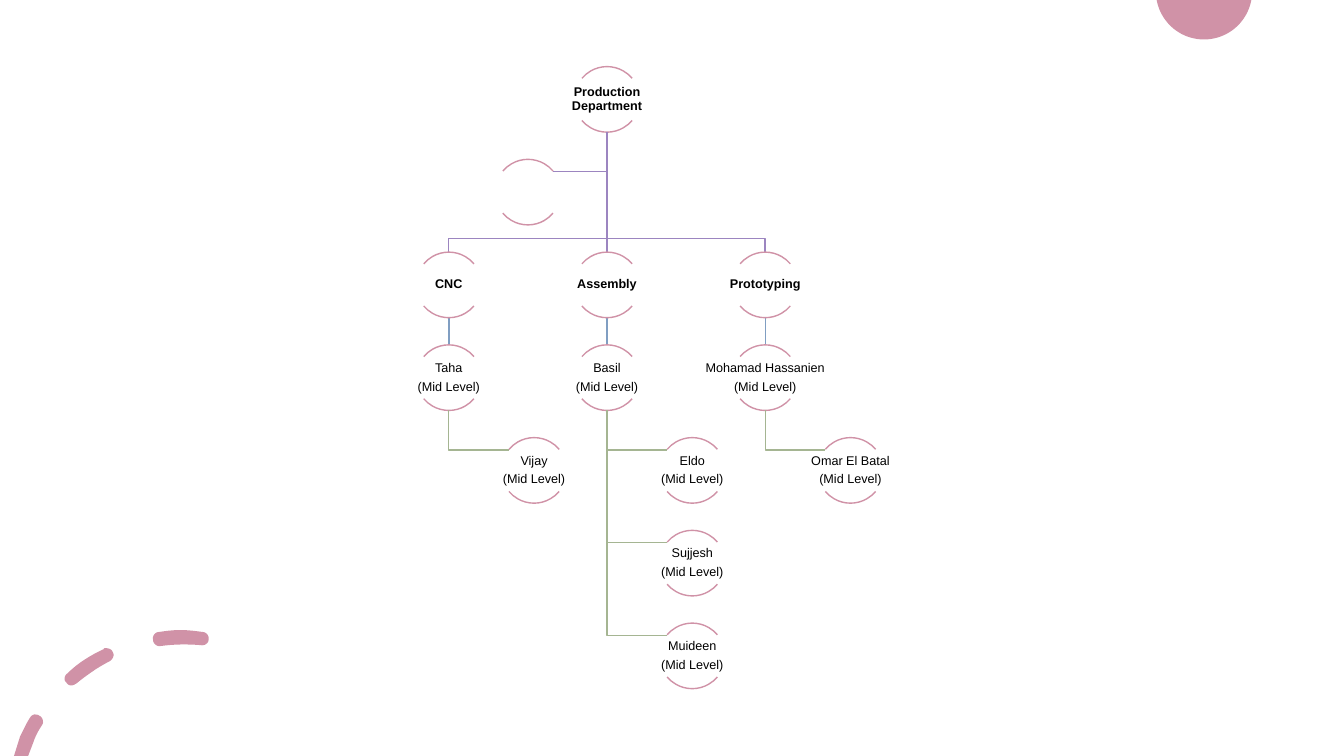
import math

import pptx
import pptx.dml.color
import pptx.enum.shapes
import pptx.enum.text
import pptx.util
from lxml import etree

Pt = pptx.util.Pt
COLORS = {
    "rose": "D092A7",
    "purple": "9C85C0",
    "blue": "809EC2",
    "green": "A5B592",
    "text": "000000",
}

DIAMETER = 46.8
COLUMN_STEP, ROW_STEP = 113, 66.25
REPORT_SHIFT = 60.9
LABEL_W, LABEL_H = 93.6, 29.4
LABEL_DROP = (DIAMETER - LABEL_H) / 2
LABEL_FRAME = {
    "word_wrap": True,
    "vertical_anchor": pptx.enum.text.MSO_ANCHOR.MIDDLE,
    "margin_left": Pt(0.5),
    "margin_right": Pt(0.5),
    "margin_top": Pt(0.5),
    "margin_bottom": Pt(0.5),
}
LABEL_PARAGRAPH = {
    "alignment": pptx.enum.text.PP_ALIGN.CENTER,
    "line_spacing": 0.9,
    "space_after": Pt(3.6),
}

LEVEL = "(Mid Level)"
TEAMS = [
    ("CNC", "Taha", ["Vijay"]),
    ("Assembly", "Basil", ["Eldo", "Sujjesh", "Muideen"]),
    ("Prototyping", "Mohamad Hassanien", ["Omar El Batal"]),
]

# Each dash is a start point, then lines (x, y) or Bézier curves (three points).
DASHES = [
    [(15.8, 60.5), (14.4, 59.8, 12.2, 61.2, 11.5, 62.6),
     (8.6, 67, 6.5, 72, 4.3, 76.3), (0, 90), (10.1, 90), (13.7, 80.6),
     (15.1, 76.3, 17.3, 72, 20.2, 67.7), (21.6, 65.5, 20.2, 61.9, 18, 61.2),
     (17.3, 60.5, 16.6, 60.5, 15.8, 60.5)],
    [(65.5, 13), (64.8, 13, 64.1, 13, 64.1, 13.7),
     (54.7, 18, 45.4, 23.8, 38.2, 31), (36, 32.4, 35.3, 36, 37.4, 37.4),
     (38.2, 38.9, 39.6, 39.6, 41, 39.6), (42.5, 39.6, 43.2, 38.9, 44.6, 38.2),
     (51.8, 32.4, 59.8, 26.6, 68.4, 22.3), (70.6, 20.9, 72, 18, 70.6, 15.8),
     (69.8, 13.7, 67.7, 13, 65.5, 13)],
    [(118.8, 0), (113.8, 0, 108.7, 0.7, 103.7, 1.4),
     (100.8, 1.4, 98.6, 4.3, 99.4, 7.2), (99.4, 9.4, 101.5, 11.5, 103.7, 11.5),
     (104.4, 11.5), (114.5, 10.1, 123.8, 10.1, 133.2, 10.8),
     (136.1, 11.5, 139, 9.4, 139, 7.2), (139.7, 4.3, 137.5, 1.4, 134.6, 1.4),
     (129.6, 0.7, 123.8, 0, 118.8, 0)],
]


def rgb(name):
    return pptx.dml.color.RGBColor.from_string(COLORS[name])


def set_line(sp, color):
    sp.line.color.rgb = rgb(color)
    sp.line.width = Pt(1)


def polyline(s, contours, close):
    """Return a freeform through contours of (x, y) points."""
    contours = [[(Pt(x), Pt(y)) for x, y in c] for c in contours]
    builder = s.shapes.build_freeform(*contours[0][0])
    for i, (start, *rest) in enumerate(contours):
        if i:
            builder.move_to(*start)
        builder.add_line_segments(rest, close=close)
    sp = builder.convert_to_shape()
    sp.shadow.inherit = False
    return sp


def filled_outline(s, contours):
    sp = polyline(s, contours, True)
    sp.fill.solid()
    sp.fill.fore_color.rgb = rgb("rose")
    sp.line.fill.background()


def elbow(s, points, color):
    sp = polyline(s, [points], False)
    sp.fill.background()
    set_line(sp, color)


def vertical(s, x, top, bottom, color):
    sp = s.shapes.add_connector(
        pptx.enum.shapes.MSO_CONNECTOR.STRAIGHT, Pt(x), Pt(top), Pt(x), Pt(bottom))
    set_line(sp, color)
    etree.SubElement(sp._element.spPr, pptx.oxml.ns.qn("a:effectLst"))


def flatten(outline, steps=8):
    """Turn lines and Bézier curves into points."""
    points = [outline[0]]
    for segment in outline[1:]:
        if len(segment) == 2:
            points.append(segment)
            continue
        controls = points[-1] + segment
        for i in range(1, steps + 1):
            t = i / steps
            weights = [math.comb(3, k) * (1 - t) ** (3 - k) * t ** k for k in range(4)]
            points.append(tuple(
                sum(w * c for w, c in zip(weights, controls[axis::2])) for axis in (0, 1)))
    return points


def dashed_ring(s, left, top):
    filled_outline(s, [[(left + x, top + y) for x, y in flatten(d)] for d in DASHES])


def corner_disc(s, left, top, width, height):
    """Draw the lower segment of a circle that the box cuts off at its top."""
    radius = (width ** 2 / 4 + height ** 2) / (2 * height)
    if height > width / 2:
        radius = width / 2
    cx, cy = left + width / 2, top + height - radius
    start = math.asin((top - cy) / radius)
    angles = [start + (math.pi - 2 * start) * i / 40 for i in range(41)]
    filled_outline(s, [[(cx + radius * math.cos(a), cy + radius * math.sin(a))
                        for a in angles]])


def node(s, cx, top, lines=(), bold=False):
    """Draw two arcs of a circle around centred lines of text."""
    for start, end in ((220, 320), (40, 140)):
        sp = s.shapes.add_shape(pptx.enum.shapes.MSO_SHAPE.ARC, Pt(cx - DIAMETER / 2),
                                Pt(top), Pt(DIAMETER), Pt(DIAMETER))
        sp.adjustments[0], sp.adjustments[1] = start * 0.6, end * 0.6
        sp.shadow.inherit = False
        sp.fill.background()
        set_line(sp, "rose")
    if not lines:
        return
    tf = s.shapes.add_textbox(Pt(cx - LABEL_W / 2), Pt(top + LABEL_DROP),
                              Pt(LABEL_W), Pt(LABEL_H)).text_frame
    for name, value in LABEL_FRAME.items():
        setattr(tf, name, value)
    for i, line in enumerate(lines):
        p = tf.add_paragraph() if i else tf.paragraphs[0]
        for name, value in LABEL_PARAGRAPH.items():
            setattr(p, name, value)
        r = p.add_run()
        r.text = line
        for name, value in {"name": "Arial", "size": Pt(9), "bold": bold}.items():
            setattr(r.font, name, value)
        r.font.color.rgb = rgb("text")


def org_chart(s, left, top):
    columns = [left + DIAMETER / 2 + i * COLUMN_STEP for i in range(len(TEAMS))]
    rows = [top + i * ROW_STEP for i in range(7)]
    root_x, root_bottom = columns[1], top + DIAMETER
    assistant_x = (columns[0] + root_x) / 2
    arc_end = DIAMETER / 2 * math.cos(math.radians(40))

    branch_y = rows[1] + LABEL_DROP
    elbow(s, [(root_x, root_bottom), (root_x, branch_y),
              (assistant_x + arc_end, branch_y)], "purple")
    node(s, root_x, top, ["Production Department"], bold=True)
    node(s, assistant_x, rows[1])

    for x, (team, lead, reports) in zip(columns, TEAMS):
        if x == root_x:
            vertical(s, x, root_bottom, rows[2], "purple")
        else:
            bus_y = rows[2] - 9.8
            elbow(s, [(root_x, root_bottom), (root_x, bus_y), (x, bus_y),
                      (x, rows[2])], "purple")
        vertical(s, x, rows[2] + DIAMETER, rows[3], "blue")
        node(s, x, rows[2], [team], bold=True)
        node(s, x, rows[3], [lead, LEVEL])
        for row, report in zip(rows[4:], reports):
            report_x, y = x + REPORT_SHIFT, row + LABEL_DROP
            elbow(s, [(x, rows[3] + DIAMETER), (x, y), (report_x - arc_end, y)], "green")
            node(s, report_x, row, [report, LEVEL])


def main():
    prs = pptx.Presentation()
    prs.slide_width, prs.slide_height = Pt(960), Pt(540)
    s = prs.slides.add_slide(prs.slide_layouts[6])
    corner_disc(s, 826.2, 0, 67.6, 28.2)
    dashed_ring(s, 10, 450)
    org_chart(s, 297.2, 47.6)
    prs.save("out.pptx")


if __name__ == "__main__":
    main()
